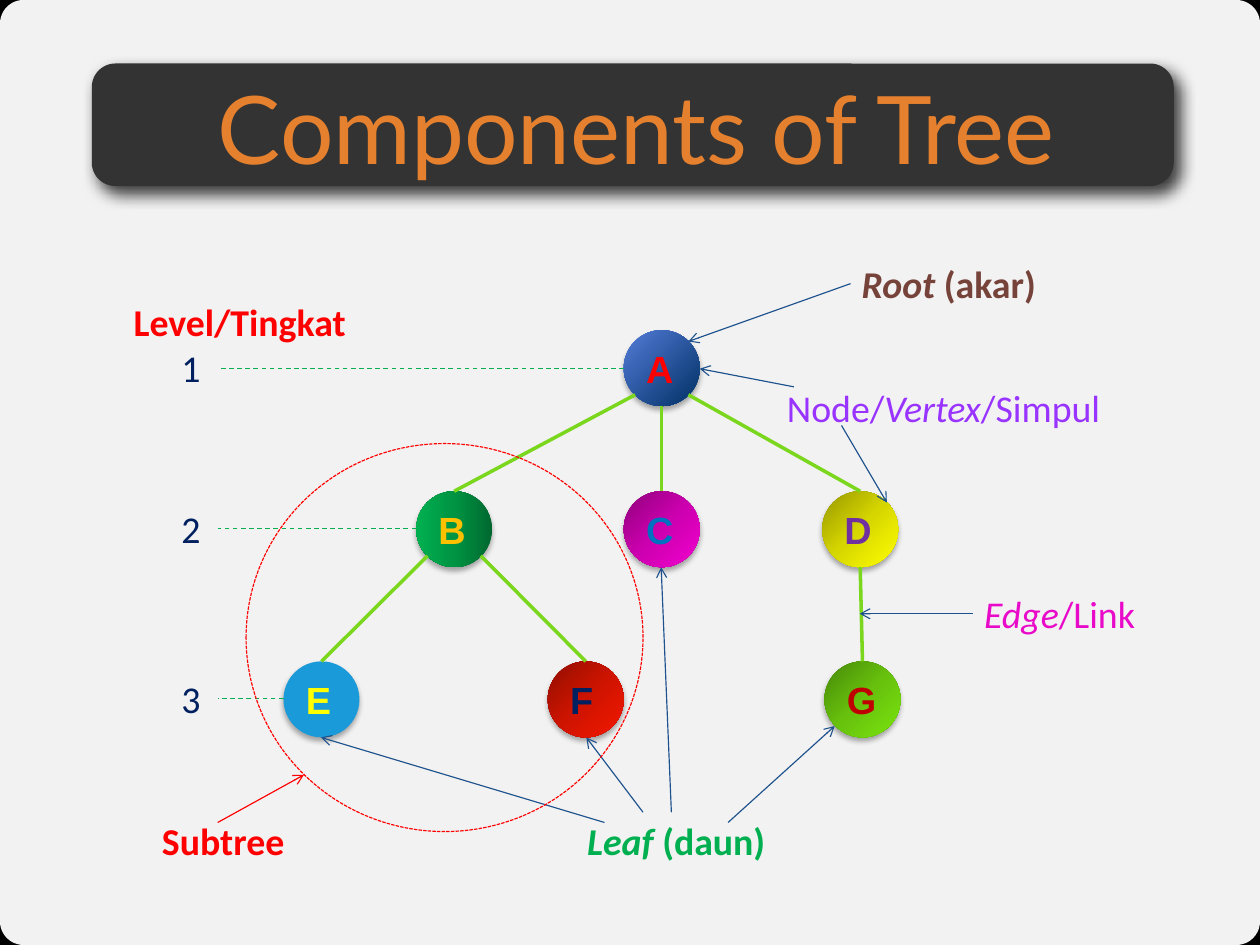
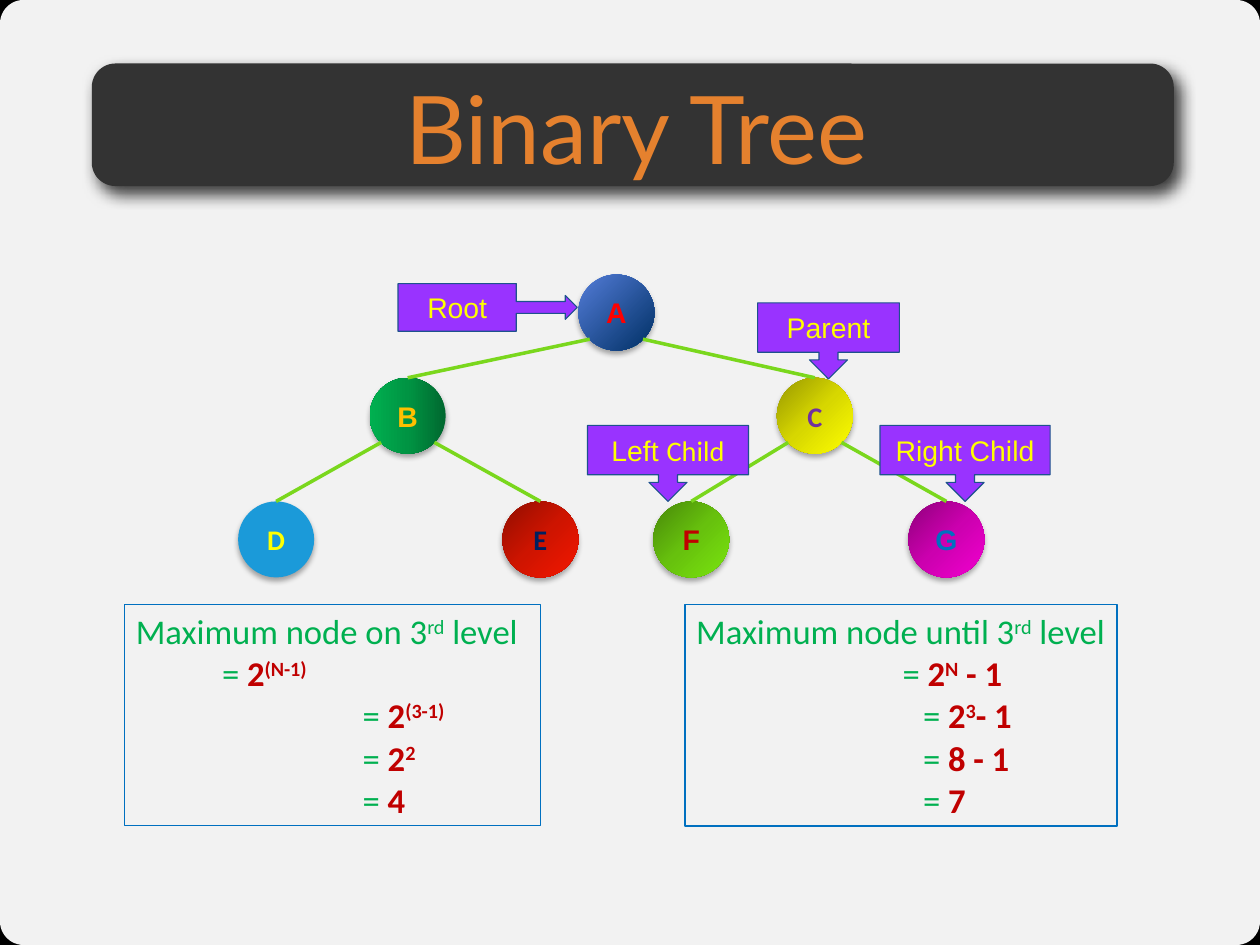
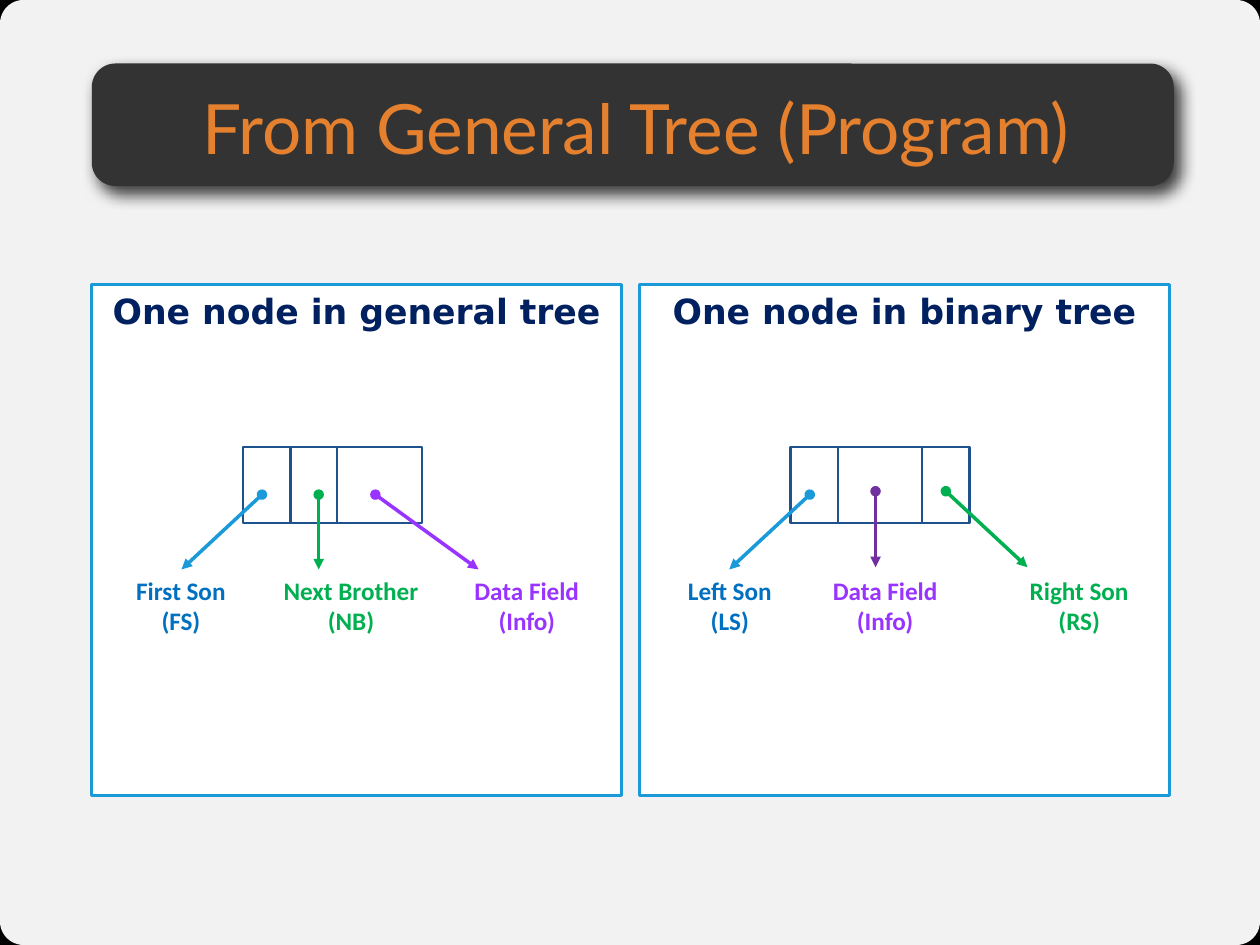
from copy import deepcopy

from lxml.etree import SubElement
from pptx import Presentation
from pptx.dml.color import RGBColor
from pptx.enum.dml import MSO_LINE
from pptx.enum.shapes import MSO_CONNECTOR, MSO_SHAPE
from pptx.enum.text import MSO_ANCHOR, MSO_AUTO_SIZE, PP_ALIGN
from pptx.oxml.ns import qn
from pptx.util import Inches, Pt

BLACK = RGBColor(0x00, 0x00, 0x00)
WHITE = RGBColor(0xFF, 0xFF, 0xFF)
CHARCOAL = RGBColor(0x33, 0x33, 0x33)
ORANGE = RGBColor(0xE5, 0x81, 0x2E)
RED = RGBColor(0xFF, 0x00, 0x00)
DARK_RED = RGBColor(0xC0, 0x00, 0x00)
GOLD = RGBColor(0xFF, 0xC0, 0x00)
YELLOW = RGBColor(0xFF, 0xFF, 0x00)
GREEN = RGBColor(0x00, 0xB0, 0x50)
LIME = RGBColor(0x7A, 0xD7, 0x1D)
BLUE = RGBColor(0x00, 0x70, 0xC0)
SKY = RGBColor(0x1B, 0x9A, 0xD9)
STEEL = RGBColor(0x1D, 0x52, 0x8D)
NAVY = RGBColor(0x00, 0x20, 0x60)
PURPLE = RGBColor(0x70, 0x30, 0xA0)
VIOLET = RGBColor(0x99, 0x33, 0xFF)
MAGENTA = RGBColor(0xE9, 0x09, 0xC9)
BROWN = RGBColor(0x76, 0x43, 0x3A)

BLUE_BALL = (RED, ["547DD8", "003065"], 45)
GREEN_BALL = (GOLD, ["00682F", "009443", "00B050"], 180)
PINK_BALL = (BLUE, ["8F007B", "CC00AF", "F200CF"], 45)
YELLOW_BALL = (PURPLE, ["979700", "D7D700", "FFFF00"], 45)
SKY_BALL = (YELLOW, ["1B9AD9"], 0)
RED_BALL = (NAVY, ["910E00", "CE1400", "F41700"], 45)
LIME_BALL = (DARK_RED, ["488809", "67C10D", "7AE50F"], 45)

DIAMETER = 0.67
RADIUS = DIAMETER / 2
DIAGONAL = 0.235


def add_run(paragraph, text, size=24, color=NAVY, font="Calibri", bold=False,
            italic=False, raised=False, align=None):
    run = paragraph.add_run()
    run.text = text
    run.font.size = Pt(size)
    run.font.name = font
    run.font.bold = bold
    run.font.italic = italic
    run.font.color.rgb = color
    if raised:
        run.font._element.set("baseline", "30000")
    if align is not None:
        paragraph.alignment = align


def draw_line(shapes, start, end, color, width=0.75, dash=None, head=None, tail=None):
    line = shapes.add_connector(MSO_CONNECTOR.STRAIGHT, *map(Inches, start + end))
    line.line.color.rgb = color
    line.line.width = Pt(width)
    if dash:
        line.line.dash_style = dash
    outline = line.line._get_or_add_ln()
    for tag, arrow in (("a:headEnd", head), ("a:tailEnd", tail)):
        if arrow:
            SubElement(outline, qn(tag)).set("type", arrow)
    SubElement(line._element.spPr, qn("a:effectLst"))


prs = Presentation()
prs.slide_width, prs.slide_height = Inches(11.11), Inches(8.33)
backdrop = prs.slide_master.background.fill
backdrop.solid()
backdrop.fore_color.rgb = BLACK
layout = prs.slide_layouts[5]
shadowed = []

slides = []
for heading, size in (("Components of Tree", 60), ("Binary Tree", 60),
                      ("From General Tree (Program)", 44)):
    slide = prs.slides.add_slide(layout)
    slides.append(slide)
    title = slide.shapes.title
    title.left, title.top = Inches(0.86), Inches(0.62)
    title.width, title.height = Inches(9.5), Inches(1)
    frame = title.text_frame
    frame.margin_left = frame.margin_right = frame.margin_top = frame.margin_bottom = 0
    frame.vertical_anchor = MSO_ANCHOR.MIDDLE
    frame.auto_size = MSO_AUTO_SIZE.NONE
    add_run(frame.paragraphs[0], heading, size=size, color=ORANGE, font="Lato",
            align=PP_ALIGN.CENTER)
components, binary, program = slides

for depth, (box, rounding, color) in enumerate([
        ((0, 0, 11.11, 8.33), 0.025, WHITE),
        ((0.81, 0.56, 9.54, 1.08), 0.192, CHARCOAL)]):
    panel = components.shapes.add_shape(MSO_SHAPE.ROUNDED_RECTANGLE, *map(Inches, box))
    panel.adjustments[0] = rounding
    panel.fill.solid()
    panel.fill.fore_color.rgb = color
    panel.line.fill.background()
    panel.shadow.inherit = False
    if color == WHITE:
        tint = panel._element.spPr.find(".//" + qn("a:srgbClr"))
        SubElement(tint, qn("a:alpha")).set("val", "95000")
    else:
        shadowed.append((panel, 75, 10, 6, 51))
    layout.shapes.element.insert(2 + depth, panel.element)

trees = [
    (components, 24, PP_ALIGN.JUSTIFY, [
        ("A", 5.5, 2.91, "Arial", BLUE_BALL),
        ("B", 3.67, 4.33, "Arial", GREEN_BALL),
        ("C", 5.5, 4.33, "Arial", PINK_BALL),
        ("D", 7.25, 4.33, "Arial", YELLOW_BALL),
        ("E", 2.5, 5.83, "Arial", SKY_BALL),
        ("F", 4.83, 5.83, "Arial", RED_BALL),
        ("G", 7.27, 5.83, "Arial", LIME_BALL),
    ], ["AB", "AD", "AC", "BE", "BF", "DG"]),
    (binary, 18, PP_ALIGN.CENTER, [
        ("A", 5.1, 2.42, "Arial", BLUE_BALL),
        ("B", 3.26, 3.33, "Arial", GREEN_BALL),
        ("G", 8.01, 4.42, "Arial", PINK_BALL),
        ("C", 6.85, 3.33, "Calibri", YELLOW_BALL),
        ("D", 2.1, 4.42, "Calibri", SKY_BALL),
        ("E", 4.43, 4.42, "Calibri", RED_BALL),
        ("F", 5.76, 4.42, "Arial", LIME_BALL),
    ], ["AB", "AC", "BD", "BE", "CF", "CG"]),
]
for slide, size, align, nodes, edges in trees:
    centers = {}
    for letter, left, top, font, (color, stops, angle) in nodes:
        centers[letter] = (left + RADIUS, top + RADIUS)
        node = slide.shapes.add_shape(MSO_SHAPE.OVAL, Inches(left), Inches(top),
                                      Inches(DIAMETER), Inches(DIAMETER))
        if len(stops) == 1:
            node.fill.solid()
            node.fill.fore_color.rgb = RGBColor.from_string(stops[0])
        else:
            node.fill.gradient()
            node.fill.gradient_angle = 360 - angle
            if len(stops) == 3:
                stop_list = node._element.spPr.find(".//" + qn("a:gsLst"))
                middle = deepcopy(stop_list[0])
                middle.set("pos", "50000")
                stop_list.insert(1, middle)
            for stop, shade in zip(node.fill.gradient_stops, stops):
                stop.color.rgb = RGBColor.from_string(shade)
        node.line.fill.background()
        node.shadow.inherit = False
        shadowed.append((node, 32, 3.5, 2.2, 90))
        add_run(node.text_frame.paragraphs[0], letter, size=size, color=color, font=font,
                bold=True, align=align)
    for parent, child in edges:
        (x, y), (child_x, child_y) = centers[parent], centers[child]
        if abs(child_x - x) < 0.1:
            start = (x, y + RADIUS)
        else:
            start = (x + (DIAGONAL if child_x > x else -DIAGONAL), y + DIAGONAL)
        draw_line(slide.shapes, start, (child_x, child_y - RADIUS), LIME, 2.25)

for shape, opacity, blur, distance, direction in shadowed:
    shadow = SubElement(shape._element.spPr.find(qn("a:effectLst")), qn("a:outerShdw"))
    shadow.set("blurRad", str(Pt(blur)))
    shadow.set("dist", str(Pt(distance)))
    shadow.set("dir", str(direction * 60000))
    shadow.set("rotWithShape", "0")
    tint = SubElement(shadow, qn("a:srgbClr"))
    tint.set("val", str(BLACK))
    SubElement(tint, qn("a:alpha")).set("val", str(opacity * 1000))

for target, source in [
        ((6.07, 3.01), (7.5, 2.5)), ((7.36, 6.4), (6.42, 7.25)),
        ((5.83, 5), (5.92, 7.16)), ((5.17, 6.5), (5.67, 7.16)),
        ((2.83, 6.5), (5.33, 7.25)), ((6.17, 3.25), (7, 3.41)),
        ((7.82, 4.43), (7.42, 3.75)), ((7.58, 5.41), (8.58, 5.41))]:
    draw_line(components.shapes, target, source, STEEL, head="arrow")
for node_left, level in ((5.5, 3.25), (3.67, 4.66), (2.5, 6.16)):
    draw_line(components.shapes, (node_left, level), (1.92, level), GREEN, dash=MSO_LINE.DASH)

subtree = components.shapes.add_shape(MSO_SHAPE.OVAL, Inches(2.17), Inches(3.91),
                                      Inches(3.5), Inches(3.42))
subtree.fill.background()
subtree.line.color.rgb = RED
subtree.line.width = Pt(0.75)
subtree.line.dash_style = MSO_LINE.SQUARE_DOT
subtree.shadow.inherit = False
draw_line(components.shapes, (1.92, 7.25), (2.68, 6.83), RED, tail="arrow")

for left, top, width, color, bold, parts in [
        (7.5, 2.25, 2, BROWN, True, [("Root ", True), ("(akar)", False)]),
        (5.08, 7.16, 2.06, GREEN, True, [("Leaf", True), (" (daun)", False)]),
        (1.08, 2.58, 2.42, RED, True, [("Level/Tingkat", False)]),
        (1.5, 2.99, 0.42, NAVY, False, [("1", False)]),
        (1.5, 4.41, 0.42, NAVY, False, [("2", False)]),
        (1.5, 5.91, 0.42, NAVY, False, [("3", False)]),
        (1.33, 7.16, 3, RED, True, [("Subtree", False)]),
        (6.84, 3.34, 3.5, VIOLET, False,
         [("Node/", False), ("Vertex", True), ("/Simpul", False)]),
        (8.58, 5.16, 1.83, MAGENTA, False, [("Edge", True), ("/Link", False)])]:
    label = components.shapes.add_textbox(Inches(left), Inches(top), Inches(width), Inches(0.5))
    label.text_frame.word_wrap = True
    for text, italic in parts:
        add_run(label.text_frame.paragraphs[0], text, color=color, bold=bold, italic=italic)

DOWN, RIGHT = MSO_SHAPE.DOWN_ARROW_CALLOUT, MSO_SHAPE.RIGHT_ARROW_CALLOUT
for kind, box, parts in [
        (DOWN, (5.18, 3.75, 1.42, 0.67), [("Left ", "Arial"), ("Child", "Calibri")]),
        (DOWN, (7.76, 3.75, 1.5, 0.67), [("Right Child", "Arial")]),
        (RIGHT, (3.51, 2.5, 1.58, 0.42), [("Root", "Arial")]),
        (DOWN, (6.68, 2.67, 1.25, 0.67), [("Parent", "Arial")])]:
    callout = binary.shapes.add_shape(kind, *map(Inches, box))
    if kind == RIGHT:
        for index, value in enumerate((0.25, 0.25, 0.25, 0.66)):
            callout.adjustments[index] = value
    callout.fill.solid()
    callout.fill.fore_color.rgb = VIOLET
    callout.line.color.rgb = STEEL
    callout.line.width = Pt(0.75)
    callout.shadow.inherit = False
    for text, font in parts:
        add_run(callout.text_frame.paragraphs[0], text, size=18, color=YELLOW, font=font,
                align=PP_ALIGN.CENTER)

for left, width, border, phrase, indent, formula, steps in [
        (1.1, 3.67, 0.75, "Maximum node on 3", 0.76, [("2", False), ("(N-1)", True)],
         [[(" 2", False), ("(3-1)", True)], [(" 2", False), ("2", True)], [(" 4", False)]]),
        (6.04, 3.81, 1, "Maximum node until 3", 1.82,
         [("2", False), ("N", True), (" - 1", False)],
         [[(" 2", False), ("3", True), ("- 1", False)], [(" 8 - 1", False)], [(" 7", False)]])]:
    summary = binary.shapes.add_textbox(Inches(left), Inches(5.33), Inches(width), Inches(1.95))
    summary.line.color.rgb = BLUE
    summary.line.width = Pt(border)
    summary.text_frame.word_wrap = True
    summary.text_frame.margin_right = 0
    statement = summary.text_frame.paragraphs[0]
    for text, raised in ((phrase, False), ("rd", True), (" level", False)):
        add_run(statement, text, size=22, color=GREEN, raised=raised)
    rule = summary.text_frame.add_paragraph()
    rule._p.get_or_add_pPr().set("marL", str(Inches(indent)))
    add_run(rule, "= ", size=22, color=GREEN)
    for text, raised in formula:
        add_run(rule, text, size=22, color=DARK_RED, bold=True, raised=raised)
    for row, parts in enumerate(steps):
        step = binary.shapes.add_textbox(Inches(left), Inches(6.07 + 0.375 * row),
                                         Inches(width), Inches(0.47))
        step.text_frame.word_wrap = True
        working = step.text_frame.paragraphs[0]
        working._p.get_or_add_pPr().set("marL", str(Inches(2)))
        add_run(working, "=", size=22, color=GREEN)
        for text, raised in parts:
            add_run(working, text, size=22, color=DARK_RED, bold=True, raised=raised)

for panel_left, heading, dividers, fields in [
        (0.81, "One node in general tree", (2.56, 2.97), [
            ("First Son", "(FS)", 0.97, 1.25, BLUE, (2.31, 4.36), (1.6, 5.02), SKY),
            ("Next Brother", "(NB)", 2.22, 1.75, GREEN, (2.81, 4.36), (2.81, 5.02), GREEN),
            ("Data Field", "(Info)", 3.81, 1.67, VIOLET, (3.31, 4.36), (4.22, 5.02), VIOLET)]),
        (5.64, "One node in binary tree", (7.39, 8.13), [
            ("Left Son", "(LS)", 5.81, 1.25, BLUE, (7.14, 4.36), (6.43, 5.02), SKY),
            ("Right Son", "(RS)", 8.64, 1.75, GREEN, (8.34, 4.33), (9.06, 5), GREEN),
            ("Data Field", "(Info)", 6.97, 1.67, VIOLET, (7.72, 4.33), (7.72, 5), PURPLE)])]:
    panel = program.shapes.add_shape(MSO_SHAPE.RECTANGLE, Inches(panel_left), Inches(2.51),
                                     Inches(4.67), Inches(4.5))
    panel.fill.solid()
    panel.fill.fore_color.rgb = WHITE
    panel.line.color.rgb = SKY
    panel.line.width = Pt(2)
    panel.shadow.inherit = False
    panel.text_frame.vertical_anchor = MSO_ANCHOR.TOP
    caption = panel.text_frame.paragraphs[0]
    caption.space_before = Pt(4.4)
    add_run(caption, heading, size=22, font="DejaVu Sans", bold=True, align=PP_ALIGN.CENTER)

    record = program.shapes.add_group_shape()
    cells = record.shapes.add_shape(MSO_SHAPE.RECTANGLE, Inches(panel_left + 1.33),
                                    Inches(3.94), Inches(1.58), Inches(0.67))
    cells.fill.background()
    cells.line.color.rgb = STEEL
    cells.line.width = Pt(1.5)
    cells.shadow.inherit = False
    for x in dividers:
        draw_line(record.shapes, (x, 3.94), (x, 4.61), STEEL, 1.5)

    for name, short, left, width, color, start, end, arrow_color in fields:
        draw_line(program.shapes, start, end, arrow_color, 2.25, head="oval", tail="triangle")
        field = program.shapes.add_textbox(Inches(left), Inches(5.02), Inches(width), Inches(0.64))
        field.text_frame.word_wrap = True
        for paragraph, text in ((field.text_frame.paragraphs[0], name),
                                (field.text_frame.add_paragraph(), short)):
            add_run(paragraph, text, size=16, color=color, bold=True, align=PP_ALIGN.CENTER)

prs.save("out.pptx")
